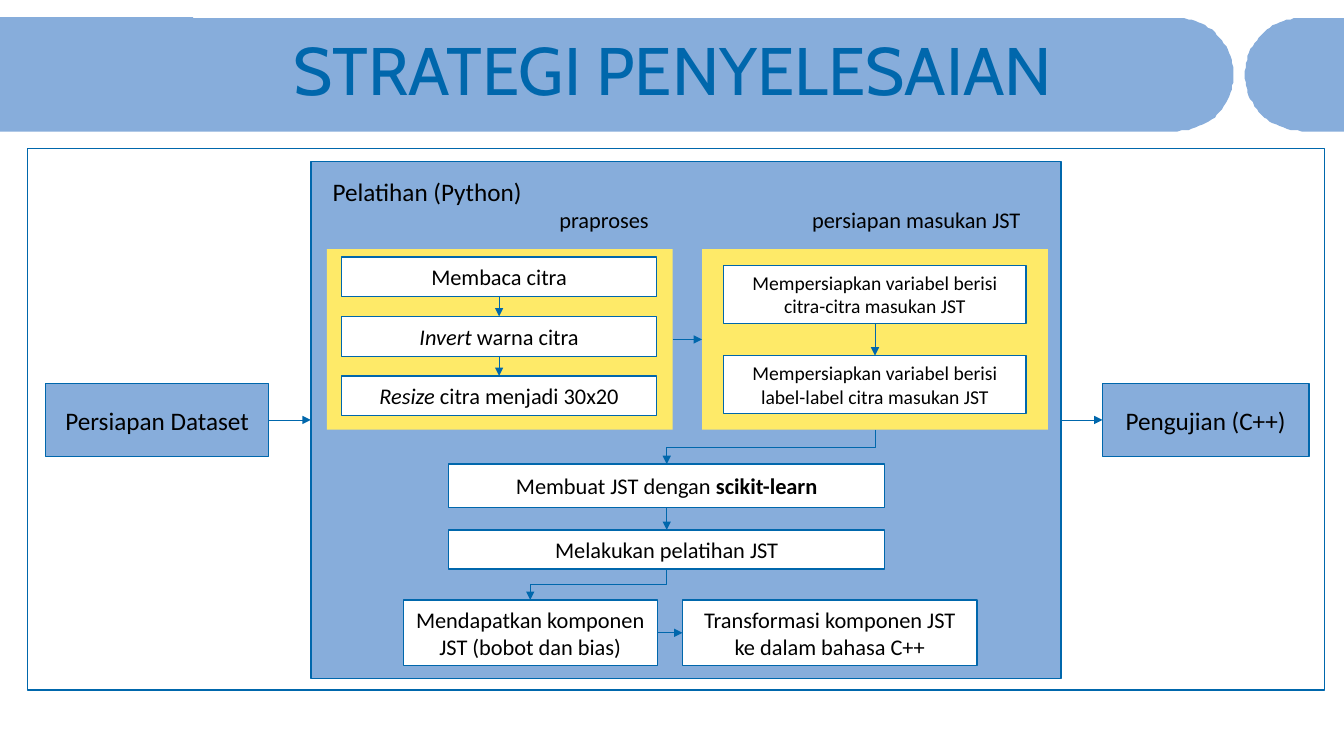
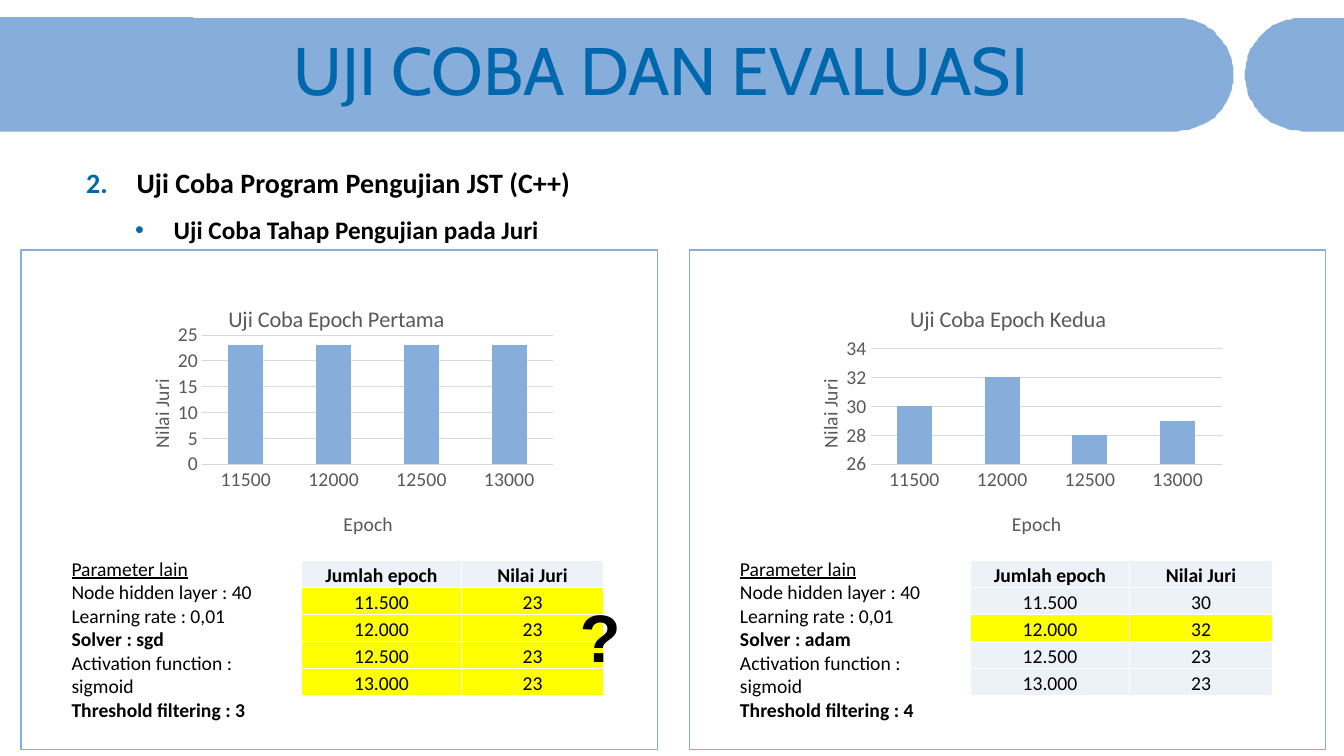
"""Build two slides on training and testing a neural network."""
import math

import lxml.etree
import pptx
import pptx.chart.data
import pptx.dml.color
import pptx.enum.chart
import pptx.enum.shapes
import pptx.enum.text
import pptx.oxml.ns
import pptx.util

Pt = pptx.util.Pt
qn = pptx.oxml.ns.qn
SHAPE = pptx.enum.shapes.MSO_SHAPE
LINK = pptx.enum.shapes.MSO_CONNECTOR
ALIGN = pptx.enum.text.PP_ALIGN
ANCHOR = pptx.enum.text.MSO_ANCHOR

BLUE, SKY, GOLD = "0067AC", "87ADDB", "FEEA68"
WHITE, BLACK, GRAY, RULE = "FFFFFF", "000000", "595959", "D9D9D9"
PALE, MARK = "EDF1F8", "FFFF00"
TOP, LEFT, BOTTOM, RIGHT = range(4)


def tint(code):
    """Turn a hex string into a colour."""
    return pptx.dml.color.RGBColor.from_string(code)


def sub(parent, tag, **attrs):
    """Add an XML child with attributes."""
    return lxml.etree.SubElement(parent, qn(tag), attrs)


def paint(shape, fill=None, edge=None, width=1):
    """Set the fill and line of a shape."""
    shape.shadow.inherit = False
    if fill:
        shape.fill.solid()
        shape.fill.fore_color.rgb = tint(fill)
    else:
        shape.fill.background()
    if edge:
        shape.line.color.rgb = tint(edge)
        shape.line.width = Pt(width)
    else:
        shape.line.fill.background()


def style(font, size, color=BLACK, name="Calibri", bold=False):
    """Set the look of a font."""
    font.size, font.name, font.bold = Pt(size), name, bold
    font.color.rgb = tint(color)


def write(frame, lines, size=16, color=BLACK, name="Calibri", bold=False,
          align=ALIGN.LEFT, anchor=ANCHOR.TOP, gap=None):
    """Write lines, each a string or a list of (text, marks) runs."""
    frame.word_wrap = True
    frame.vertical_anchor = anchor
    for n, line in enumerate(lines):
        para = frame.add_paragraph() if n else frame.paragraphs[0]
        para.alignment = align
        if gap:
            para.line_spacing = gap
        for words, marks in [(line, "")] if isinstance(line, str) else line:
            run = para.add_run()
            run.text = words
            style(run.font, size, color, name, bold or "b" in marks)
            run.font.italic = "i" in marks
            run.font.underline = "u" in marks


def label(slide, area, lines, **form):
    """Add a text box."""
    frame = slide.shapes.add_textbox(*map(Pt, area)).text_frame
    write(frame, lines, **form)
    return frame


def box(slide, area, fill=WHITE, edge=BLUE, line=None, size=16):
    """Add a rectangle, with centred text if given."""
    shape = slide.shapes.add_shape(SHAPE.RECTANGLE, *map(Pt, area))
    paint(shape, fill, edge)
    if line:
        write(shape.text_frame, [line], size=size, align=ALIGN.CENTER,
              anchor=ANCHOR.MIDDLE)
    return shape


def join(slide, head, out, tail, into, kind=LINK.STRAIGHT):
    """Link two boxes with an arrow; elbows run down and to the left."""
    wire = slide.shapes.add_connector(kind, 0, 0, 0, 0)
    wire.begin_connect(head, out)
    wire.end_connect(tail, into)
    wire.line.color.rgb = tint(BLUE)
    wire.line.width = Pt(0.5)
    sub(wire.line._get_or_add_ln(), "a:tailEnd", type="triangle")
    props = wire._element.spPr
    sub(props, "a:effectLst")
    if kind == LINK.ELBOW:
        x, y, end, low = wire.begin_x, wire.begin_y, wire.end_x, wire.end_y
        wide, high = x - end, low - y
        form = props.find(qn("a:xfrm"))
        form.attrib.pop("flipH", None)
        form.attrib.pop("flipV", None)
        form.set("rot", "5400000")
        wire.left = (x + end - high) // 2
        wire.top = (y + low - wide) // 2
        wire.width, wire.height = high, wide


def chain(slide, boxes):
    """Link boxes from top to bottom."""
    for head, tail in zip(boxes, boxes[1:]):
        join(slide, head, BOTTOM, tail, TOP)


def band(slide, flat, cap, side):
    """Draw a band with one round end."""
    mid, rad, steps = 53.25, 40.25, 48
    arc = [(cap + side * rad * math.sin(math.pi * n / steps),
            mid - rad * math.cos(math.pi * n / steps))
           for n in range(steps + 1)]
    path = slide.shapes.build_freeform(flat, mid - rad, scale=Pt(1))
    path.add_line_segments(arc + [(flat, mid + rad)], close=True)
    paint(path.convert_to_shape(), SKY)


def start(deck, title):
    """Add a slide with its bands and title."""
    slide = deck.slides.add_slide(deck.slide_layouts[6])
    band(slide, 0, 841, 1)
    band(slide, 960, 929.5, -1)
    box(slide, (0, 12.25, 138, 80.75), SKY, None)
    label(slide, (202.5, 24.5, 757.5, 57), [title], size=48, color=BLUE,
          name="Cabin", anchor=ANCHOR.MIDDLE, gap=0.9)
    return slide


def flow(deck):
    """Build the slide with the flow chart."""
    slide = start(deck, "STRATEGI PENYELESAIAN")
    box(slide, (19.5, 106, 926.5, 387))
    train = box(slide, (222, 115.5, 536, 369), SKY)
    data = box(slide, (32.5, 274, 159.5, 52), SKY, line="Persiapan Dataset",
               size=18)
    test = box(slide, (787.5, 274, 147.5, 52), SKY, line="Pengujian (C++)",
               size=18)
    join(slide, data, RIGHT, train, LEFT)
    join(slide, train, RIGHT, test, LEFT)
    label(slide, (230.5, 122.5, 199, 29), ["Pelatihan (Python)"], size=18)
    label(slide, (392.5, 143.5, 101.5, 34), ["praproses"])
    label(slide, (573, 143.5, 190, 34), ["persiapan masukan JST"])
    first, second = [box(slide, (x, 178, 247, 129), GOLD, None)
                     for x in (233.5, 501.5)]
    join(slide, first, RIGHT, second, LEFT)
    steps = ["Membaca citra",
             [("Invert ", "i"), ("warna citra", "")],
             [("Resize ", "i"), ("citra menjadi 30x20", "")]]
    chain(slide, [box(slide, (244, 183.5 + 42.5 * n, 225, 28.5), line=line)
                  for n, line in enumerate(steps)])
    sets = ["citra-citra masukan JST", "label-label citra masukan JST"]
    chain(slide, [box(slide, (517, 189.5 + 64.5 * n, 216, 41.5), size=14,
                      line="Mempersiapkan variabel berisi " + part)
                  for n, part in enumerate(sets)])
    make = box(slide, (320.5, 331.5, 311.5, 31),
               line=[("Membuat JST dengan ", ""), ("scikit-learn", "b")])
    learn = box(slide, (320.5, 378.5, 311.5, 28),
                line="Melakukan pelatihan JST")
    pull = box(slide, (288, 428.5, 181.5, 47),
               line="Mendapatkan komponen JST (bobot dan bias)")
    port = box(slide, (487.5, 428.5, 210.5, 47),
               line="Transformasi komponen JST ke dalam bahasa C++")
    join(slide, second, BOTTOM, make, TOP, LINK.ELBOW)
    chain(slide, [make, learn])
    join(slide, learn, BOTTOM, pull, TOP, LINK.ELBOW)
    join(slide, pull, RIGHT, port, LEFT)


def place(part, **spots):
    """Fix a chart part at shares of the chart's size."""
    old = part.find(qn("c:layout"))
    if old is not None:
        part.remove(old)
    lay = lxml.etree.Element(qn("c:layout"))
    form = sub(lay, "c:manualLayout")
    if "w" in spots:
        sub(form, "c:layoutTarget", val="inner")
    for mode in ("c:xMode", "c:yMode"):
        sub(form, mode, val="edge")
    for key, share in spots.items():
        sub(form, "c:" + key, val=str(share))
    part.insert(0 if part.find(qn("c:tx")) is None else 1, lay)


def name(title, words, x, y, size=14):
    """Write and place a chart or axis title."""
    write(title.text_frame, [words], size=size, color=GRAY,
          align=ALIGN.CENTER)
    place(title._element, x=x, y=y)


def graph(slide, area, title, vals, scale, left, top):
    """Add a column chart."""
    data = pptx.chart.data.CategoryChartData()
    data.categories = ["11500", "12000", "12500", "13000"]
    data.add_series("Series 1", vals)
    kind = pptx.enum.chart.XL_CHART_TYPE.COLUMN_CLUSTERED
    chart = slide.shapes.add_chart(kind, *map(Pt, area), data).chart
    style(chart.font, 14, GRAY)
    chart.has_legend = False
    chart.has_title = True
    name(chart.chart_title, title, left, 0.07, 16)
    cat, val = chart.category_axis, chart.value_axis
    name(cat.axis_title, "Epoch", 0.5, 0.84)
    name(val.axis_title, "Nilai Juri", 0.06, 0.35)
    turn = val.axis_title.text_frame._txBody.find(qn("a:bodyPr"))
    turn.set("rot", "-5400000")
    turn.set("vert", "horz")
    for axis in (cat, val):
        axis.major_tick_mark = pptx.enum.chart.XL_TICK_MARK.NONE
        style(axis.tick_labels.font, 14, GRAY)
    val.minimum_scale, val.maximum_scale, val.major_unit = scale
    val.format.line.fill.background()
    for line in (cat.format.line, val.major_gridlines.format.line):
        line.color.rgb = tint(RULE)
        line.width = Pt(0.75)
    plot = chart.plots[0]
    plot.gap_width = 150
    plot.vary_by_categories = False
    fill = plot.series[0].format.fill
    fill.solid()
    fill.fore_color.rgb = tint(SKY)
    place(chart._chartSpace.find(".//" + qn("c:plotArea")),
          x=0.19, y=top, w=0.79, h=round(0.68 - top, 2))


def grid(slide, x, y, rows, marked):
    """Add a table with marked rows."""
    wide, high = (114, 102), 19.25
    area = (x, y, sum(wide), high * len(rows))
    table = slide.shapes.add_table(len(rows), 2, *map(Pt, area)).table
    table.first_row = table.horz_banding = False
    for col, width in zip(table.columns, wide):
        col.width = Pt(width)
    for r, row in enumerate(rows):
        for c, words in enumerate(row):
            cell = table.cell(r, c)
            cell.margin_left = cell.margin_right = cell.margin_top = Pt(0.75)
            cell.margin_bottom = 0
            write(cell.text_frame, [words], size=14, bold=r == 0,
                  align=ALIGN.CENTER)
            cell.vertical_anchor = ANCHOR.BOTTOM
            props = cell._tc.get_or_add_tcPr()
            for side in "LRTB":
                line = sub(props, "a:ln" + side, w=str(Pt(1)))
                sub(sub(line, "a:solidFill"), "a:srgbClr", val=WHITE)
            cell.fill.solid()
            cell.fill.fore_color.rgb = tint(MARK if r in marked else PALE)


def trial(slide, x, title, vals, scale, left, top, solver, limit, scores,
          marked):
    """Add one panel with chart, settings and table."""
    box(slide, (x, 178.5, 454.5, 357), None, SKY)
    graph(slide, (x + 69, 201, 317.5, 192), title, vals, scale, left, top)
    epochs = ["11.500", "12.000", "12.500", "13.000"]
    rows = [("Jumlah epoch", "Nilai Juri"), *zip(epochs, scores)]
    grid(slide, x + 200.5, 400.5, rows, marked)
    label(slide, (x + 29, 394, 170, 109), [
        [("Parameter lain", "u")], "Node hidden layer : 40",
        "Learning rate : 0,01", [("Solver : " + solver, "b")],
        "Activation function : sigmoid",
        [("Threshold filtering : " + limit, "b")]], size=14)


def bullet(para, left, hang, tag, **attrs):
    """Give a paragraph a coloured bullet and hanging indent."""
    props = para._p.get_or_add_pPr()
    props.set("marL", str(Pt(left)))
    props.set("indent", str(-Pt(hang)))
    sub(sub(props, "a:buClr"), "a:srgbClr", val=BLUE)
    sub(props, "a:buFont", typeface="Arial" if "char" in attrs else "Calibri")
    sub(props, tag, **attrs)


def score(deck):
    """Build the slide with the test results."""
    slide = start(deck, "UJI COBA DAN EVALUASI")
    trial(slide, 15, "Uji Coba Epoch Pertama", (23, 23, 23, 23), (0, 25, 5),
          0.24, 0.2, "sgd", "3", ("23",) * 4, (1, 2, 3, 4))
    trial(slide, 492.5, "Uji Coba Epoch Kedua", (30, 32, 28, 29), (26, 34, 2),
          0.27, 0.25, "adam", "4", ("30", "32", "23", "23"), (2,))
    label(slide, (407, 422, 45, 65.5), ["?"], size=48, name="Arial", bold=True)
    frame = label(slide, (54.5, 103, 849, 76),
                  ["Uji Coba Program Pengujian JST (C++)",
                   "Uji Coba Tahap Pengujian pada Juri"],
                  size=20, bold=True, gap=1.5)
    head, item = frame.paragraphs
    bullet(head, 36, 36, "a:buAutoNum", type="arabicPeriod", startAt="2")
    item.level = 1
    item.runs[0].font.size = Pt(18)
    bullet(item, 62.5, 27.5, "a:buChar", char="•")


def main():
    """Build and save the deck."""
    deck = pptx.Presentation()
    deck.slide_width, deck.slide_height = Pt(960), Pt(540)
    flow(deck)
    score(deck)
    deck.save("out.pptx")


if __name__ == "__main__":
    main()
